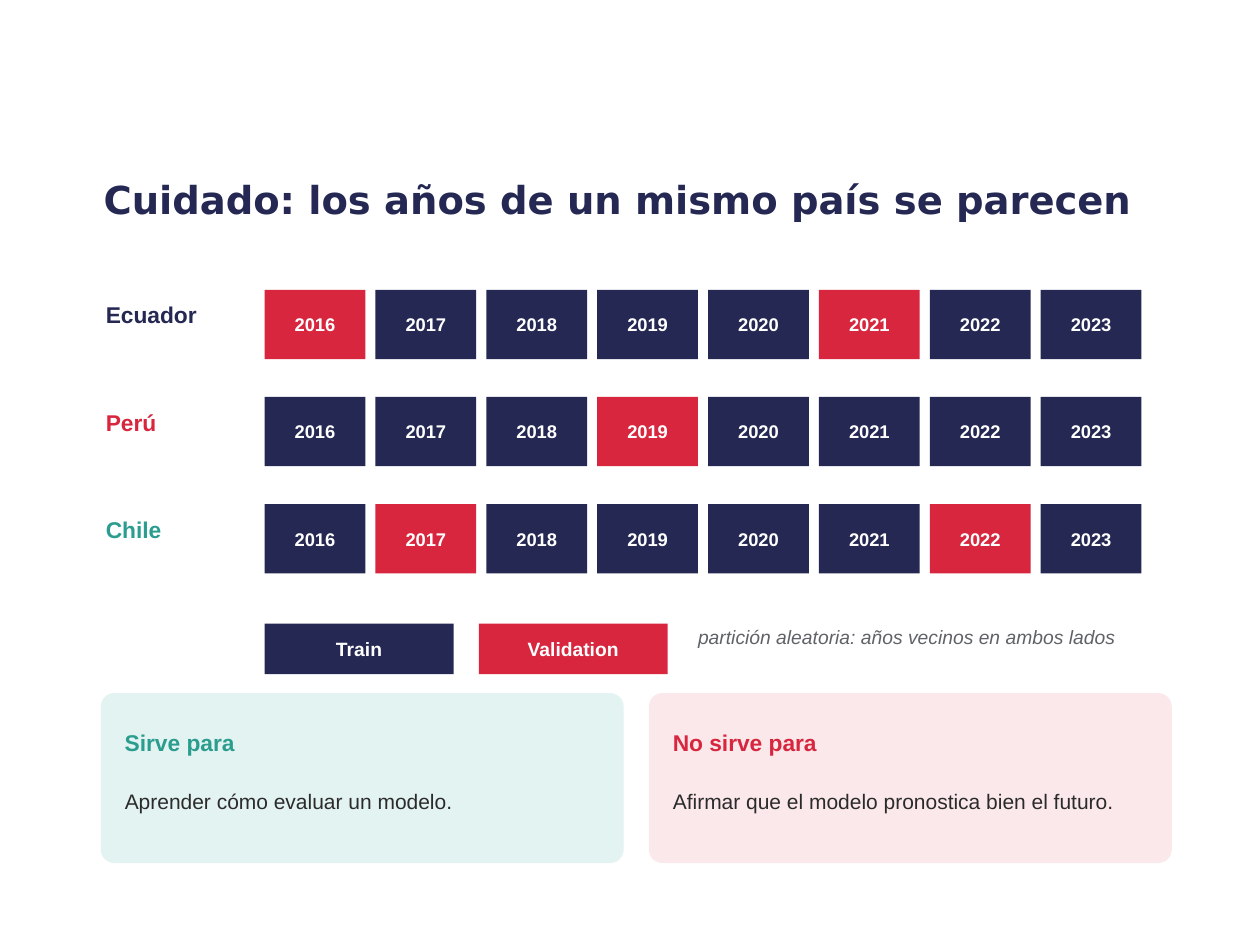
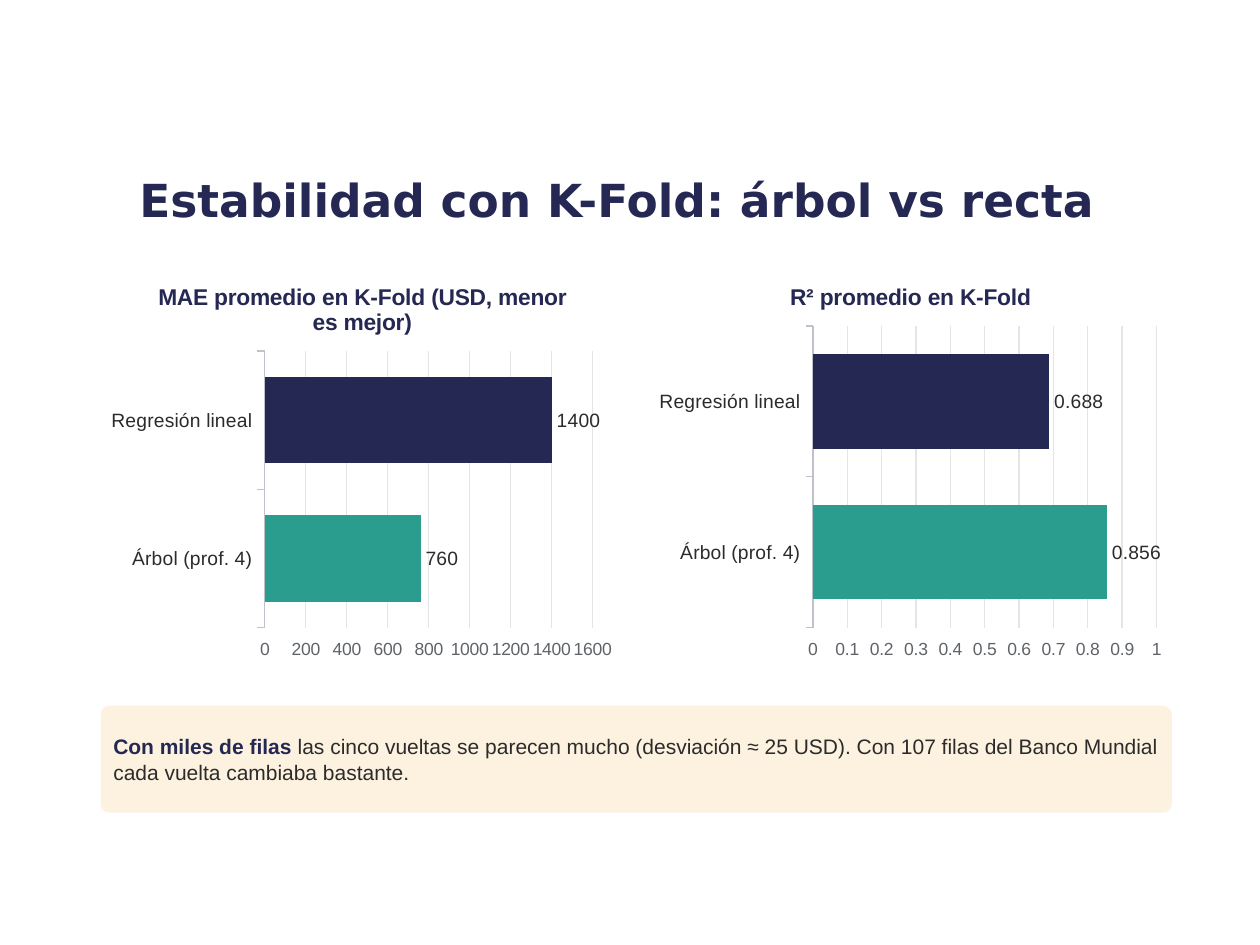
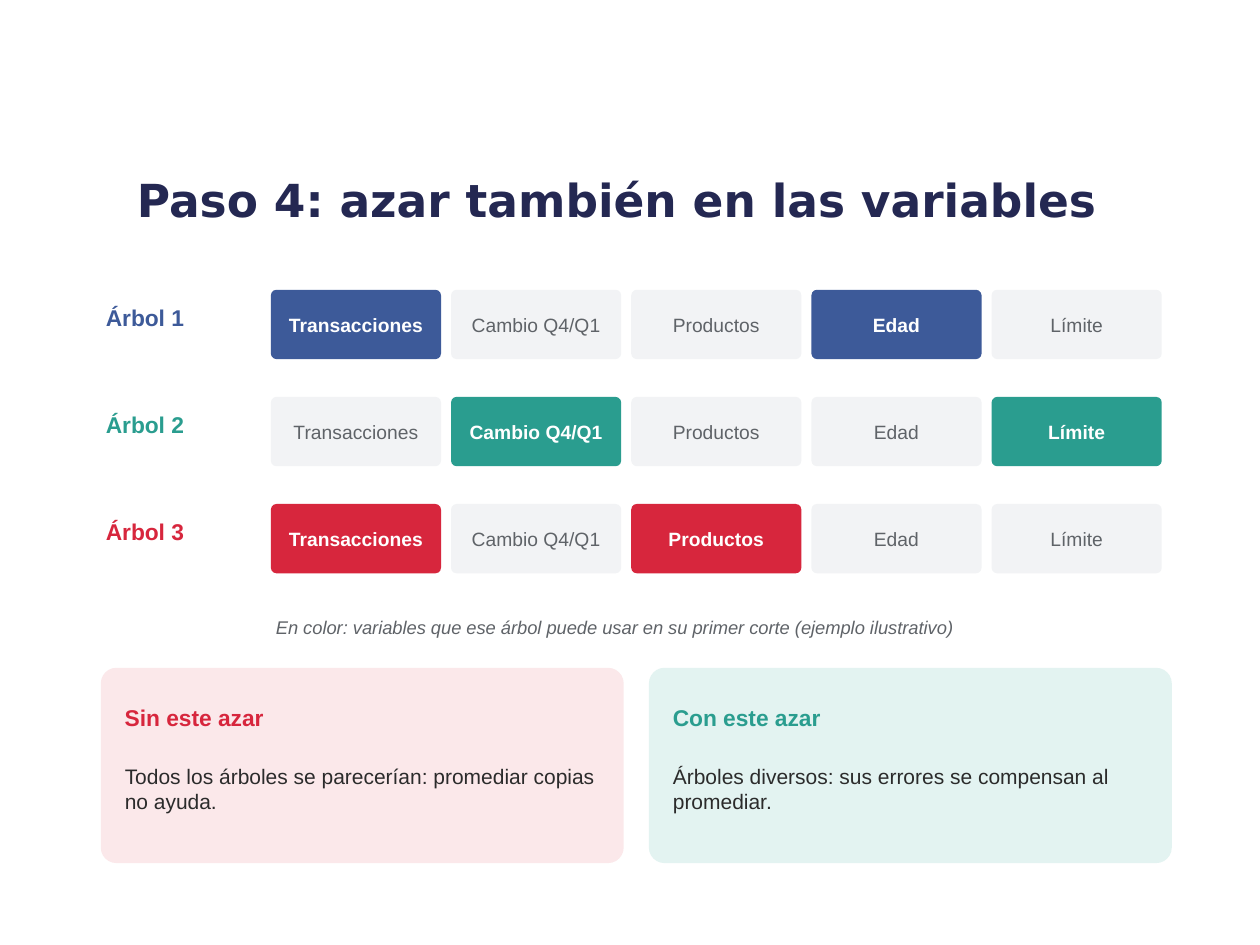
import pptx
import pptx.chart.data
import pptx.dml.color
import pptx.enum.chart
import pptx.enum.shapes
import pptx.enum.text
import pptx.util

Pt = pptx.util.Pt
Anchor = pptx.enum.text.MSO_ANCHOR
Align = pptx.enum.text.PP_ALIGN
Fit = pptx.enum.text.MSO_AUTO_SIZE
Shape = pptx.enum.shapes.MSO_SHAPE

# Shared colours, fonts and measures
NAVY, RED, TEAL, BLUE = "242852", "D7263D", "2A9D8F", "3D5A99"
INK, GREY, WHITE = "2B2B2B", "5F6368", "FFFFFF"
PALE_TEAL, PALE_RED, PALE_GREY, CREAM = "E3F3F1", "FBE8EA", "F2F3F5", "FDF2E0"
AXIS_LINE, GRID_LINE = "BFC3C9", "E3E5E8"
BODY_FONT, TITLE_FONT = "Arial", "DejaVu Sans"
TITLE_BOX = (54, 85, 597.6, 57.6)
LEFT, CONTENT_WIDTH = 57.6, 612
COLUMN_GAP = 14.4
COLUMN_WIDTH = (CONTENT_WIDTH - COLUMN_GAP) / 2
COLUMN_LEFTS = (LEFT, LEFT + COLUMN_WIDTH + COLUMN_GAP)
TILE_HEIGHT, TILE_GAP, ROW_PITCH = 39.6, 5.76, 61.2
GRID_TOP = 165.6


def rgb(colour):
    return pptx.dml.color.RGBColor.from_string(colour)


def set_font(font, **values):
    """Set font attributes; colour is a hex string and size is in points."""
    font.color.rgb = rgb(values.pop("colour"))
    font.size = Pt(values.pop("size"))
    for name, value in {"name": BODY_FONT, **values}.items():
        setattr(font, name, value)


def write(frame, spans, align=None, anchor=Anchor.TOP, inset=2.88,
          space_after=4, fit=Fit.NONE):
    """Fill a frame with one paragraph of (text, font values) spans."""
    values = {"word_wrap": True, "auto_size": fit, "vertical_anchor": anchor}
    for side in ("left", "top", "right", "bottom"):
        values["margin_" + side] = Pt(inset)
    for name, value in values.items():
        setattr(frame, name, value)
    para = frame.paragraphs[0]
    para.alignment = align
    para.space_after = Pt(space_after)
    for text, font_values in spans:
        span = para.add_run()
        span.text = text
        set_font(span.font, **font_values)


def add_text(slide, box, text, anchor=Anchor.TOP, **font_values):
    text_box = slide.shapes.add_textbox(*map(Pt, box))
    write(text_box.text_frame, [(text, font_values)], anchor=anchor,
          fit=Fit.SHAPE_TO_FIT_TEXT)


def add_panel(slide, box, fill, spans=(), rounded=True, align=None, inset=5.76):
    kind = Shape.ROUNDED_RECTANGLE if rounded else Shape.RECTANGLE
    panel = slide.shapes.add_shape(kind, *map(Pt, box))
    if rounded:
        panel.adjustments[0] = 0.08
    panel.shadow.inherit = False
    panel.fill.solid()
    panel.fill.fore_color.rgb = rgb(fill)
    panel.line.fill.background()
    if spans:
        write(panel.text_frame, spans, align or Align.LEFT, Anchor.MIDDLE, inset, 3)


def add_titled_slide(deck, text, size):
    slide = deck.slides.add_slide(deck.slide_layouts[5])
    title = slide.shapes.title
    title.left, title.top, title.width, title.height = map(Pt, TITLE_BOX)
    font = {"name": TITLE_FONT, "size": size, "colour": NAVY, "bold": True}
    write(title.text_frame, [(text, font)], Align.CENTER, Anchor.MIDDLE, 3.6, 0)
    return slide


def add_tile_grid(slide, box, rows, names, label_width, label_drop, **tile):
    """Rows are (label, colour, chosen names, chosen fill)."""
    left, top, width = box
    tiles_left = left + label_width
    pitch = (width - label_width + TILE_GAP) / len(names)
    for row, (label, colour, chosen, chosen_fill) in enumerate(rows):
        row_top = top + row * ROW_PITCH
        add_text(slide, (left, row_top + label_drop, 93.6, 34), label,
                 size=13, colour=colour, bold=True)
        for column, name in enumerate(names):
            active = name in chosen
            fill = chosen_fill if active else tile["fill"]
            strong = active or tile["fill"] == NAVY
            font = {"size": tile["size"], "bold": strong,
                    "colour": WHITE if strong else GREY}
            tile_box = (tiles_left + column * pitch, row_top,
                        pitch - TILE_GAP, TILE_HEIGHT)
            add_panel(slide, tile_box, fill, [(name, font)], tile["rounded"],
                      Align.CENTER, tile["inset"])


def add_card(slide, box, heading, body, colour, fill):
    left, top, width, height = box
    add_panel(slide, box, fill)
    add_text(slide, (left + 10.8, top + 8.64, width - 18, 39.6), heading,
             Anchor.MIDDLE, size=13, colour=colour, bold=True)
    add_text(slide, (left + 10.8, top + 51.84, width - 21.6, height - 57.6), body,
             size=12, colour=INK)


def add_card_pair(slide, top, height, cards):
    for left, card in zip(COLUMN_LEFTS, cards):
        add_card(slide, (left, top, COLUMN_WIDTH, height), *card)


def add_score_chart(slide, box, title, values, maximum, number_format):
    data = pptx.chart.data.CategoryChartData()
    data.categories = ["Árbol (prof. 4)", "Regresión lineal"]
    data.add_series("Series 1", values)
    kind = pptx.enum.chart.XL_CHART_TYPE.BAR_CLUSTERED
    chart = slide.shapes.add_chart(kind, *map(Pt, box), data).chart
    set_font(chart.font, size=11, colour=INK)
    chart.has_legend = False
    chart.has_title = True
    span = chart.chart_title.text_frame.paragraphs[0].add_run()
    span.text = title
    set_font(span.font, size=13, colour=NAVY, bold=True)

    # Axes
    categories, scale = chart.category_axis, chart.value_axis
    categories.tick_label_position = pptx.enum.chart.XL_TICK_LABEL_POSITION.LOW
    categories.has_major_gridlines = False
    set_font(categories.tick_labels.font, size=11, colour=INK)
    set_font(scale.tick_labels.font, size=10, colour=GREY)
    scale.minimum_scale, scale.maximum_scale = 0, maximum
    scale.has_major_gridlines = True
    for line, colour in ((categories.format.line, AXIS_LINE),
                         (scale.major_gridlines.format.line, GRID_LINE)):
        line.color.rgb = rgb(colour)
        line.width = Pt(0.75)
    scale.format.line.fill.background()

    # Bars and their labels
    plot = chart.plots[0]
    plot.gap_width = 60
    plot.vary_by_categories = False
    series = plot.series[0]
    series.format.fill.solid()
    series.format.fill.fore_color.rgb = rgb(BLUE)
    for index, colour in enumerate((TEAL, NAVY)):
        fill = series.points[index].format.fill
        fill.solid()
        fill.fore_color.rgb = rgb(colour)
    labels = series.data_labels
    label_values = {
        "show_value": True, "number_format": number_format,
        "number_format_is_linked": False,
        "position": pptx.enum.chart.XL_LABEL_POSITION.OUTSIDE_END,
    }
    for name, value in label_values.items():
        setattr(labels, name, value)
    set_font(labels.font, size=11, colour=INK)


def build_years_slide(deck):
    slide = add_titled_slide(deck, "Cuidado: los años de un mismo país se parecen", 22)
    rows = [("Ecuador", NAVY, ("2016", "2021"), RED),
            ("Perú", RED, ("2019",), RED),
            ("Chile", TEAL, ("2017", "2022"), RED)]
    years = [str(year) for year in range(2016, 2024)]
    add_tile_grid(slide, (LEFT, GRID_TOP, 594.72), rows, years, 93.6, 3.6,
                  fill=NAVY, size=10.5, rounded=False, inset=0)
    # Legend
    for index, (name, fill) in enumerate((("Train", NAVY), ("Validation", RED))):
        font = {"size": 11, "colour": WHITE, "bold": True}
        add_panel(slide, (151.2 + index * 122.4, 356.4, 108, 28.8), fill,
                  [(name, font)], False, Align.CENTER)
    add_text(slide, (396, 354.24, 273.6, 32.4),
             "partición aleatoria: años vecinos en ambos lados",
             size=11, colour=GREY, italic=True)
    add_card_pair(slide, 396, 97.2, [
        ("Sirve para", "Aprender cómo evaluar un modelo.", TEAL, PALE_TEAL),
        ("No sirve para", "Afirmar que el modelo pronostica bien el futuro.",
         RED, PALE_RED)])


def build_scores_slide(deck):
    slide = add_titled_slide(deck, "Estabilidad con K-Fold: árbol vs recta", 26)
    scores = [("MAE promedio en K-Fold (USD, menor es mejor)", (760, 1400), 1700, "0"),
              ("R² promedio en K-Fold", (0.856, 0.688), 1, "0.000")]
    for left, score in zip(COLUMN_LEFTS, scores):
        add_score_chart(slide, (left, 151.2, COLUMN_WIDTH, 230.4), *score)
    add_panel(slide, (LEFT, 403.2, CONTENT_WIDTH, 61.2), CREAM, [
        ("Con miles de filas ", {"size": 12, "colour": NAVY, "bold": True}),
        ("las cinco vueltas se parecen mucho (desviación ≈ 25 USD). "
         "Con 107 filas del Banco Mundial cada vuelta cambiaba bastante.",
         {"size": 12, "colour": INK, "bold": False})])


def build_variables_slide(deck):
    slide = add_titled_slide(deck, "Paso 4: azar también en las variables", 26)
    rows = [("Árbol 1", BLUE, ("Transacciones", "Edad"), BLUE),
            ("Árbol 2", TEAL, ("Cambio Q4/Q1", "Límite"), TEAL),
            ("Árbol 3", RED, ("Transacciones", "Productos"), RED)]
    variables = ["Transacciones", "Cambio Q4/Q1", "Productos", "Edad", "Límite"]
    add_tile_grid(slide, (LEFT, GRID_TOP, 606.24), rows, variables, 97.2, 5.04,
                  fill=PALE_GREY, size=11, rounded=True, inset=1.44)
    add_text(slide, (154.8, 349.2, 511.2, 25.2),
             "En color: variables que ese árbol puede usar en su primer corte "
             "(ejemplo ilustrativo)", size=10.5, colour=GREY, italic=True)
    add_card_pair(slide, 381.6, 111.6, [
        ("Sin este azar", "Todos los árboles se parecerían: promediar copias no ayuda.",
         RED, PALE_RED),
        ("Con este azar", "Árboles diversos: sus errores se compensan al promediar.",
         TEAL, PALE_TEAL)])


def main():
    deck = pptx.Presentation()
    deck.slide_width, deck.slide_height = Pt(720), Pt(540)
    build_years_slide(deck)
    build_scores_slide(deck)
    build_variables_slide(deck)
    deck.save("out.pptx")


if __name__ == "__main__":
    main()
